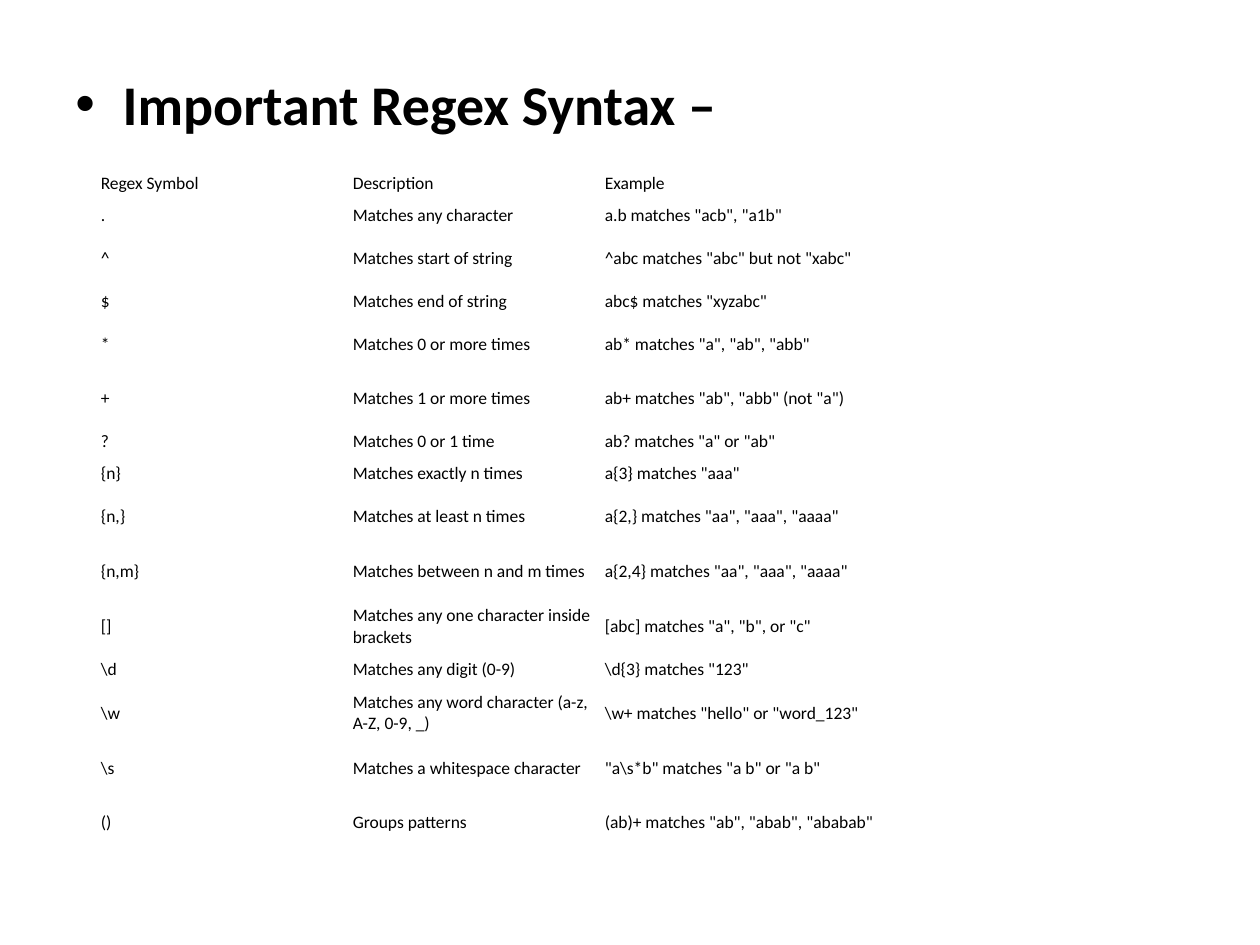
import pptx
import pptx.util
import pptx.dml.color
import pptx.enum.text
import pptx.oxml.ns
import lxml.etree

Pt = pptx.util.Pt
BLACK = pptx.dml.color.RGBColor(0x00, 0x00, 0x00)
PLAIN_TABLE = "{2D5ABB26-0587-4C30-8999-92F81FD0307C}"  # no style, no grid

HEADING = "Important Regex Syntax –"
SHORT, TALL, TALLER = 18, 31.2, 31.5
COLUMN_WIDTHS = (144, 144, 330)
SYNTAX = [
    (SHORT, "Regex Symbol", "Description", "Example"),
    (SHORT, ".", "Matches any character", 'a.b matches "acb", "a1b"'),
    (TALL, "^", "Matches start of string", '^abc matches "abc" but not "xabc"'),
    (SHORT, "$", "Matches end of string", 'abc$ matches "xyzabc"'),
    (TALL, "*", "Matches 0 or more times", 'ab* matches "a", "ab", "abb"'),
    (TALL, "+", "Matches 1 or more times", 'ab+ matches "ab", "abb" (not "a")'),
    (SHORT, "?", "Matches 0 or 1 time", 'ab? matches "a" or "ab"'),
    (SHORT, "{n}", "Matches exactly n times", 'a{3} matches "aaa"'),
    (TALL, "{n,}", "Matches at least n times", 'a{2,} matches "aa", "aaa", "aaaa"'),
    (TALLER, "{n,m}", "Matches between n and m times", 'a{2,4} matches "aa", "aaa", "aaaa"'),
    (TALLER, "[]", "Matches any one character inside brackets", '[abc] matches "a", "b", or "c"'),
    (SHORT, r"\d", "Matches any digit (0-9)", r'\d{3} matches "123"'),
    (TALLER, r"\w", "Matches any word character (a-z, A-Z, 0-9, _)", r'\w+ matches "hello" or "word_123"'),
    (TALLER, r"\s", "Matches a whitespace character", r'"a\s*b" matches "a b" or "a b"'),
    (TALL, "()", "Groups patterns", '(ab)+ matches "ab", "abab", "ababab"'),
]


def apply(target, values):
    for name, value in values.items():
        setattr(target, name, value)


class SlideBuilder:
    heading_font = {"name": "Calibri", "size": Pt(32), "bold": True}
    cell_font = {"name": "Calibri", "size": Pt(10), "bold": False}
    cell_format = {
        "margin_left": Pt(3.6), "margin_right": Pt(3.6),
        "margin_top": Pt(2), "margin_bottom": Pt(2),
        "vertical_anchor": pptx.enum.text.MSO_ANCHOR.MIDDLE,
    }

    def __init__(self, page):
        self.page = page

    def add_text(self, para, text, font):
        span = para.add_run()
        span.text = text
        apply(span.font, font)
        span.font.color.rgb = BLACK

    def bullet_heading(self, text, left, top, width, height, indent):
        box = self.page.shapes.add_textbox(Pt(left), Pt(top), Pt(width), Pt(height))
        box.text_frame.word_wrap = True
        para = box.text_frame.paragraphs[0]
        properties = para._p.get_or_add_pPr()
        properties.set("marL", str(Pt(indent)))
        properties.set("indent", str(-Pt(indent)))
        for tag, name, value in (("a:buFont", "typeface", "Arial"), ("a:buChar", "char", "•")):
            lxml.etree.SubElement(properties, pptx.oxml.ns.qn(tag)).set(name, value)
        self.add_text(para, text, self.heading_font)

    def table(self, rows, widths, left, top):
        height = sum(row[0] for row in rows)
        frame = self.page.shapes.add_table(
            len(rows), len(widths), Pt(left), Pt(top), Pt(sum(widths)), Pt(height))
        table = frame.table
        apply(table, {"first_row": False, "horz_banding": False})
        table._tbl.tblPr.find(pptx.oxml.ns.qn("a:tableStyleId")).text = PLAIN_TABLE
        for column, width in zip(table.columns, widths):
            column.width = Pt(width)
        for row, (row_height, *texts) in zip(table.rows, rows):
            row.height = Pt(row_height)
            for cell, text in zip(row.cells, texts):
                apply(cell, self.cell_format)
                cell.fill.background()
                self.add_text(cell.text_frame.paragraphs[0], text, self.cell_font)


def main():
    deck = pptx.Presentation()
    apply(deck, {"slide_width": Pt(720), "slide_height": Pt(540)})
    builder = SlideBuilder(deck.slides.add_slide(deck.slide_layouts[6]))

    # Heading
    builder.bullet_heading(HEADING, 36, 36, 648, 446.4, indent=27)

    # Syntax table
    builder.table(SYNTAX, COLUMN_WIDTHS, 54, 96)

    deck.save("out.pptx")


if __name__ == "__main__":
    main()
